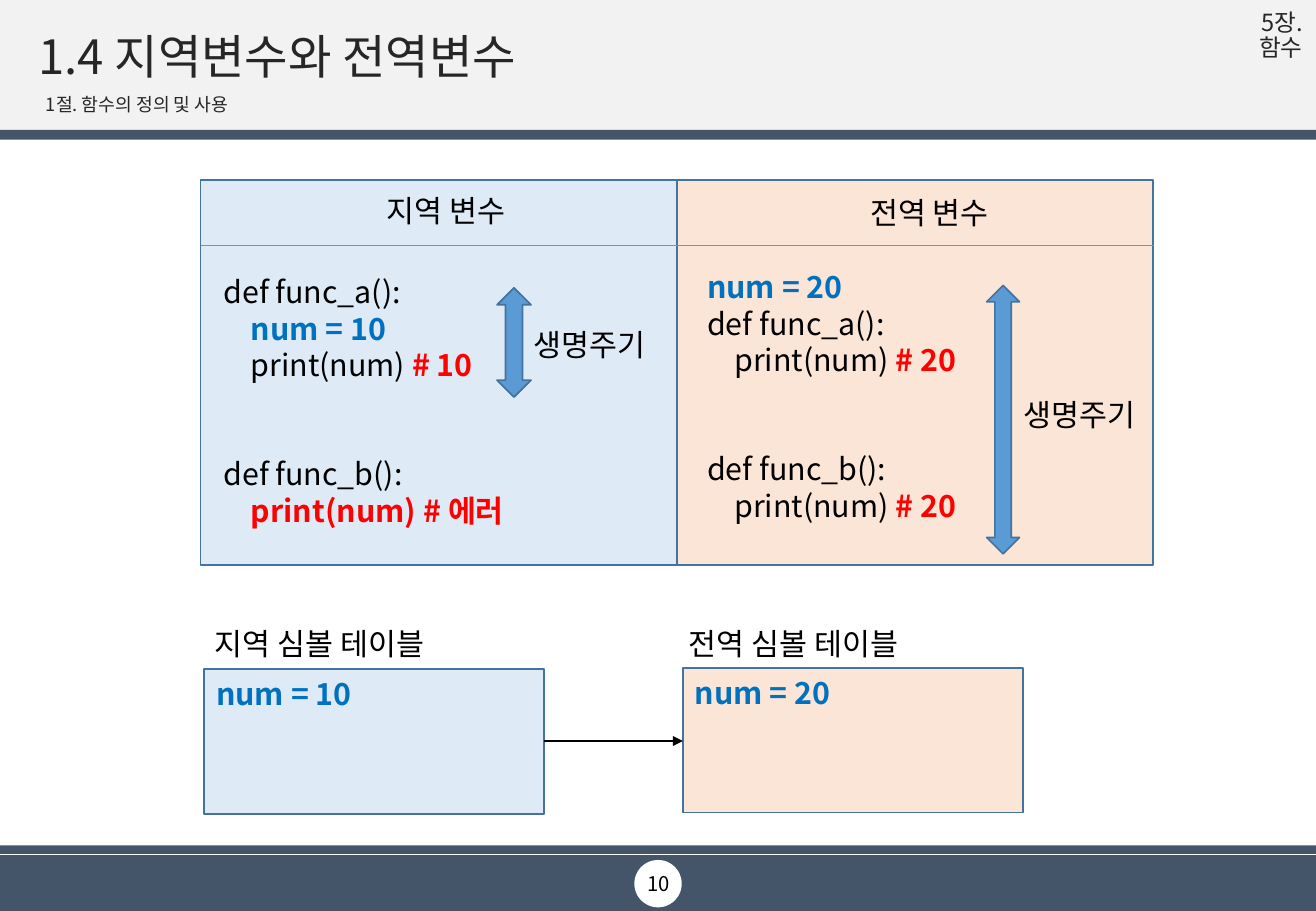
from pptx import Presentation
from pptx.util import Inches, Pt
from pptx.dml.color import RGBColor
from pptx.enum.shapes import MSO_CONNECTOR, MSO_SHAPE
from pptx.enum.text import MSO_ANCHOR, PP_ALIGN
from pptx.oxml.ns import qn
from lxml import etree

RECTANGLE, OVAL, UP_DOWN = MSO_SHAPE.RECTANGLE, MSO_SHAPE.OVAL, MSO_SHAPE.UP_DOWN_ARROW
STRAIGHT = MSO_CONNECTOR.STRAIGHT
LEFT, CENTER, RIGHT = PP_ALIGN.LEFT, PP_ALIGN.CENTER, PP_ALIGN.RIGHT
TOP, MIDDLE = MSO_ANCHOR.TOP, MSO_ANCHOR.MIDDLE
FONT = "Noto Sans CJK KR"
BLACK, DARK, NAVY, BLUE, RED = "000000", "262626", "445469", "0070C0", "FF0000"
LOCAL_FILL, GLOBAL_FILL, OUTLINE, ARROW = "DEEBF7", "FBE5D6", "43739E", "5B9BD5"
color = RGBColor.from_string

deck = Presentation()
deck.slide_width, deck.slide_height = Inches(10.83), Inches(7.5)
page = deck.slides.add_slide(deck.slide_layouts[6])


def add_block(kind, left, top, width, height, fill, line=None):
    block = page.shapes.add_shape(kind, Inches(left), Inches(top), Inches(width), Inches(height))
    block.shadow.inherit = False
    block.fill.solid()
    block.fill.fore_color.rgb = color(fill)
    if line:
        block.line.color.rgb = color(line)
        block.line.width = Pt(1)
    else:
        block.line.fill.background()
    return block


def write(box, lines, size=18, align=LEFT, anchor=TOP, spacing=None, wrap=True):
    """Fill a box; each line is a list of (text, colour, bold) spans."""
    frame = box.text_frame
    frame.word_wrap = wrap
    frame.vertical_anchor = anchor
    for index, spans in enumerate(lines):
        para = frame.paragraphs[0] if index == 0 else frame.add_paragraph()
        para.alignment = align
        if spacing:
            para.line_spacing = spacing
        for text, hue, bold in spans:
            span = para.add_run()
            span.text = text
            span.font.name = FONT
            span.font.size = Pt(size)
            span.font.bold = bold
            span.font.color.rgb = color(hue)
            etree.SubElement(span.font._element, qn("a:ea"), typeface=FONT)


# Header and footer bands
for top, height, fill in [(0, 1.07, "F2F2F2"), (7.04, 0.46, NAVY),
                          (6.96, 0.07, NAVY), (1.07, 0.08, NAVY)]:
    add_block(RECTANGLE, 0, top, 10.83, height, fill)
add_block(OVAL, 5.22, 7.08, 0.39, 0.39, "FFFFFF")

chapter = page.shapes.add_textbox(Inches(10.06), Inches(0.05), Inches(0.7), Inches(0.5))
chapter.text_frame.margin_left = chapter.text_frame.margin_right = Inches(0.04)
chapter.text_frame.margin_top = chapter.text_frame.margin_bottom = Inches(0.04)
write(chapter, [[("5장. 함수", DARK, False)]], 14, RIGHT, spacing=0.9)

for text, left, top, width, height, size, hue, align, spacing in [
    ("1.4 지역변수와 전역변수", 0.22, 0.21, 10.39, 0.55, 28, DARK, LEFT, 0.9),
    ("1절. 함수의 정의 및 사용", 0.28, 0.76, 10.32, 0.24, 10.8, DARK, LEFT, 0.7),
    ("10", 4.2, 7.08, 2.44, 0.39, 12, BLACK, CENTER, None),
]:
    box = page.shapes.add_textbox(Inches(left), Inches(top), Inches(width), Inches(height))
    write(box, [[(text, hue, False)]], size, align, MIDDLE, spacing)

# Comparison panels and symbol tables
for left, fill in [(1.65, LOCAL_FILL), (5.57, GLOBAL_FILL)]:
    add_block(RECTANGLE, left, 1.48, 3.92, 3.17, fill, OUTLINE)
for left, top, fill, text in [(1.68, 5.51, LOCAL_FILL, "num = 10"),
                              (5.62, 5.5, GLOBAL_FILL, "num = 20")]:
    table = add_block(RECTANGLE, left, top, 2.8, 1.19, fill, OUTLINE)
    write(table, [[(text, BLUE, True)]])

for text, left, top, width, align in [
    ("지역 변수", 3.02, 1.53, 1.3, CENTER),
    ("전역 변수", 7, 1.55, 1.3, CENTER),
    ("생명주기", 4.16, 2.64, 1.38, CENTER),
    ("생명주기", 8.19, 3.21, 1.38, CENTER),
    ("지역 심볼 테이블", 1.67, 5.1, 2.15, LEFT),
    ("전역 심볼 테이블", 5.57, 5.1, 2.15, LEFT),
]:
    label = page.shapes.add_textbox(Inches(left), Inches(top), Inches(width), Inches(0.4))
    write(label, [[(text, BLACK, False)]], align=align, wrap=False)

# Code listings
define_a = [("def func_a():", BLACK, False)]
define_b = [("def func_b():", BLACK, False)]
print_line = ("    print(num) ", BLACK, False)
local_code = [
    define_a,
    [("    num = 10", BLUE, True)],
    [print_line, ("# 10", RED, True)],
    define_b,
    [("    print(num) # 에러", RED, True)],
]
global_code = [
    [("num = 20", BLUE, True)],
    define_a,
    [print_line, ("# 20", RED, True)],
    define_b,
    [print_line, ("# 20", RED, True)],
]
for left, top, width, code in [(1.74, 2.2, 3.86, local_code), (5.72, 2.16, 3.21, global_code)]:
    listing = page.shapes.add_textbox(Inches(left), Inches(top), Inches(width), Inches(2.52))
    write(listing, code)
    listing.text_frame.paragraphs[3].space_before = Pt(43.2)

# Lifetime arrows
for left, top, width, height in [(4.09, 2.37, 0.28, 0.9), (8.12, 2.35, 0.27, 2.21)]:
    add_block(UP_DOWN, left, top, width, height, ARROW, OUTLINE)

# Header divider and link between the symbol tables
for x1, x2, y, hue, weight, has_head in [(1.65, 9.5, 2.02, ARROW, 0.5, False),
                                         (4.48, 5.62, 6.1, BLACK, 1, True)]:
    link = page.shapes.add_connector(STRAIGHT, Inches(x1), Inches(y), Inches(x2), Inches(y))
    link.line.color.rgb = color(hue)
    link.line.width = Pt(weight)
    if has_head:
        etree.SubElement(link.line._get_or_add_ln(), qn("a:tailEnd"), type="triangle")
    etree.SubElement(link._element.spPr, qn("a:effectLst"))

deck.save("out.pptx")
